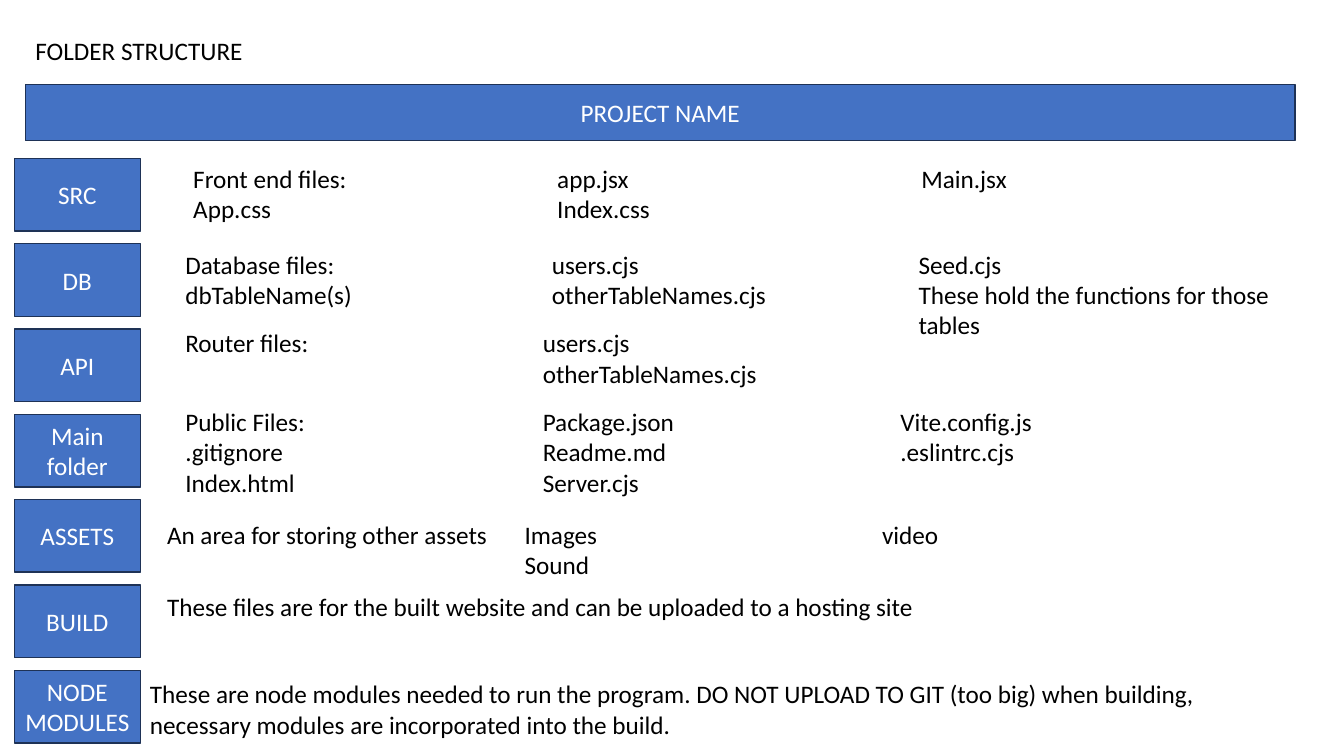
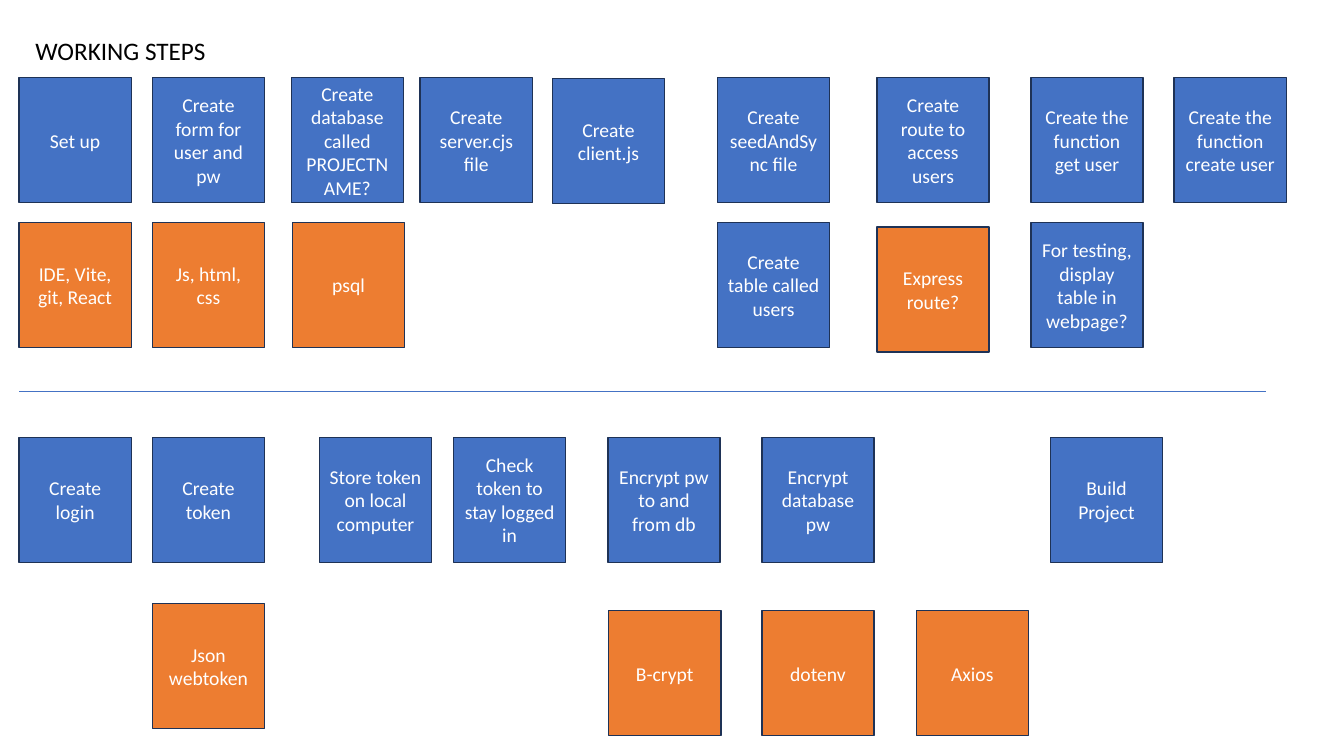
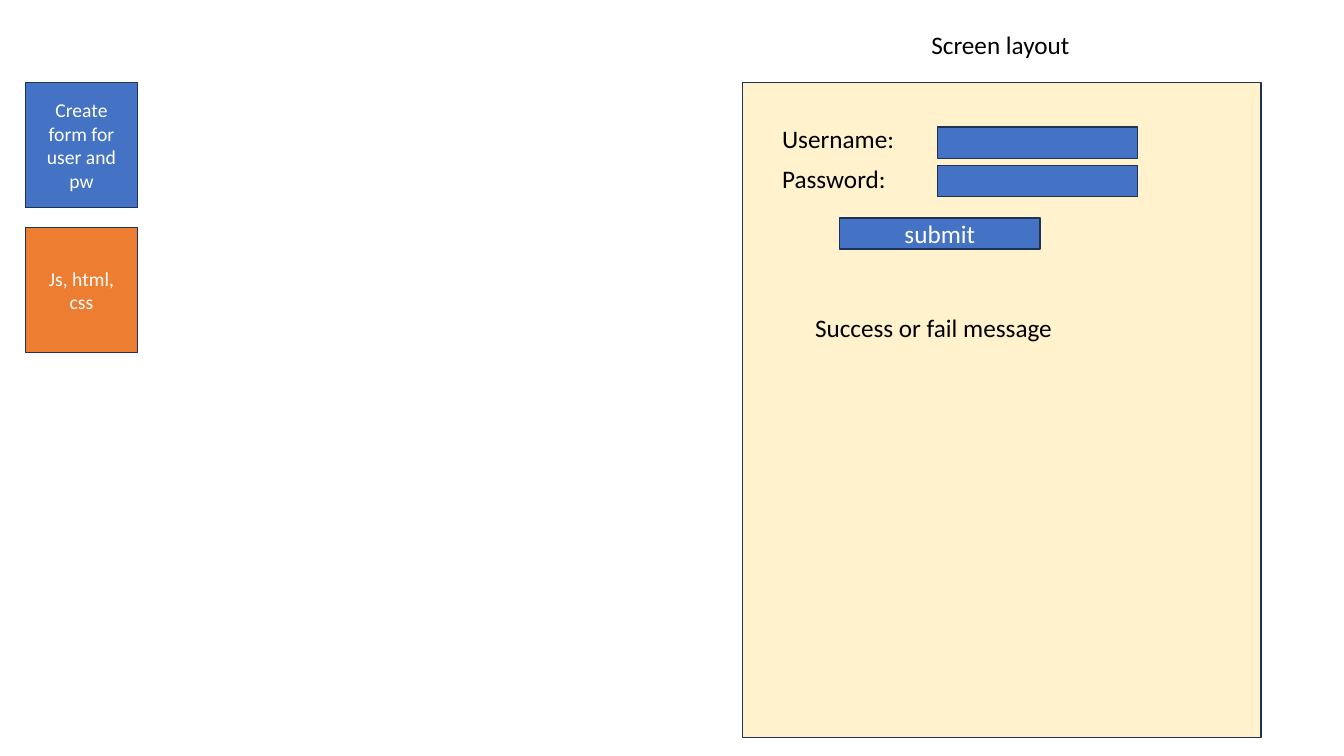
"""Build a three-slide plan of a web project: folders, working steps and a login screen."""
from dataclasses import dataclass

from lxml import etree
from pptx import Presentation
from pptx.dml.color import RGBColor
from pptx.enum.shapes import MSO_CONNECTOR, MSO_SHAPE
from pptx.enum.text import MSO_ANCHOR, MSO_AUTO_SIZE, PP_ALIGN
from pptx.oxml.ns import qn
from pptx.util import Cm, Pt

RECTANGLE = MSO_SHAPE.RECTANGLE
STRAIGHT = MSO_CONNECTOR.STRAIGHT
TOP, MIDDLE = MSO_ANCHOR.TOP, MSO_ANCHOR.MIDDLE
LEFT, CENTER = PP_ALIGN.LEFT, PP_ALIGN.CENTER
NO_FIT = MSO_AUTO_SIZE.NONE

COLORS = {
    "task": "4472C4",
    "tool": "ED7D31",
    "screen": "FFF2CC",
    "outline": "1E3256",
    "ink": "000000",
    "paper": "FFFFFF",
}
FONT = {"name": "Calibri", "bold": False}
PARAGRAPH = {"line_spacing": 1.0, "space_before": Pt(0), "space_after": Pt(0)}
FRAME = {
    "word_wrap": True,
    "auto_size": NO_FIT,
    "margin_left": Cm(0.25),
    "margin_right": Cm(0.25),
    "margin_top": Cm(0.13),
    "margin_bottom": Cm(0.13),
}
TITLE_ONLY, COMPARISON = 5, 4
CARD_WIDTH, CARD_HEIGHT = 2.83, 3.15
LINE_HEIGHT, INSETS = 1.02, 0.5


@dataclass(frozen=True)
class Box:
    """A place on the slide in centimetres."""

    left: float
    top: float
    width: float
    height: float

    def lengths(self) -> tuple:
        """Return the four lengths for python-pptx."""
        return Cm(self.left), Cm(self.top), Cm(self.width), Cm(self.height)


@dataclass(frozen=True)
class Folder:
    """A folder with its contents in up to three columns."""

    name: str
    left: float
    top: float
    width: float
    columns: tuple
    column_count: int = 3


@dataclass(frozen=True)
class Card:
    """A working step, or a tool that it needs."""

    left: float
    top: float
    text: str
    kind: str = "task"


FOLDERS = (
    Folder("SRC", 4.62, 3.99, 28.02,
           (("Front end files:", "App.css"), ("app.jsx", "Index.css"), ("Main.jsx",))),
    Folder("DB", 4.42, 6.15, 28.22,
           (("Database files:", "dbTableName(s)"), ("users.cjs", "otherTableNames.cjs"),
            ("Seed.cjs", "These hold the functions for those tables"))),
    Folder("API", 4.42, 8.13, 27.53,
           (("Router files:",), ("users.cjs", "otherTableNames.cjs"))),
    Folder("Main folder", 4.42, 10.11, 27.53,
           (("Public Files:", ".gitignore", "Index.html"),
            ("Package.json", "Readme.md", "Server.cjs"),
            ("Vite.config.js", ".eslintrc.cjs"))),
    Folder("ASSETS", 3.96, 12.95, 27.53,
           (("An area for storing other assets",), ("Images", "Sound"), ("video",))),
    Folder("BUILD", 3.96, 14.78, 27.53,
           (("These files are for the built website and can be uploaded to a hosting site",),), 1),
    Folder("NODE MODULES", 3.53, 16.97, 27.53,
           (("These are node modules needed to run the program. DO NOT UPLOAD TO GIT "
             "(too big) when building, necessary modules are incorporated into the build.",),), 1),
)
STEPS = (
    Card(0.48, 1.96, "Set up"),
    Card(3.84, 1.96, "Create form for user and pw"),
    Card(7.34, 1.96, "Create database called PROJECTNAME?"),
    Card(10.59, 1.96, "Create server.cjs file"),
    Card(13.92, 1.98, "Create client.js"),
    Card(18.08, 1.96, "Create seedAndSync file"),
    Card(22.1, 1.96, "Create route to access users"),
    Card(25.98, 1.96, "Create the function get user"),
    Card(29.59, 1.96, "Create the function create user"),
    Card(0.48, 5.61, "IDE, Vite, git, React", "tool"),
    Card(3.84, 5.61, "Js, html, css", "tool"),
    Card(7.37, 5.61, "psql", "tool"),
    Card(18.08, 5.61, "Create table called users"),
    Card(22.1, 5.72, "Express route?", "tool"),
    Card(25.98, 5.61, "For testing, display table in webpage?"),
    Card(0.48, 11.02, "Create login"),
    Card(3.84, 11.02, "Create token"),
    Card(8.05, 11.02, "Store token on local computer"),
    Card(11.43, 11.02, "Check token to stay logged in"),
    Card(15.32, 11.02, "Encrypt pw to and from db"),
    Card(19.2, 11.02, "Encrypt database pw"),
    Card(26.47, 11.02, "Build Project"),
    Card(3.84, 15.21, "Json webtoken", "tool"),
    Card(15.34, 15.39, "B-crypt", "tool"),
    Card(19.2, 15.39, "dotenv", "tool"),
    Card(23.09, 15.39, "Axios", "tool"),
)
FORM_STEPS = (
    Card(0.64, 2.08, "Create form for user and pw"),
    Card(0.64, 5.74, "Js, html, css", "tool"),
)


def rgb(color: str) -> RGBColor:
    """Look up a named colour."""
    return RGBColor.from_string(COLORS[color])


def apply(target, values: dict) -> None:
    """Set each format value on the target."""
    for name, value in values.items():
        setattr(target, name, value)


def write(frame, lines: tuple, size: int = 18, color: str = "ink",
          align=LEFT, anchor=TOP) -> None:
    """Write lines as plain paragraphs without bullets."""
    apply(frame, FRAME | {"vertical_anchor": anchor})
    for index, line in enumerate(lines):
        paragraph = frame.paragraphs[0] if index == 0 else frame.add_paragraph()
        apply(paragraph, PARAGRAPH | {"alignment": align})
        properties = paragraph._p.get_or_add_pPr()
        properties.set("marL", "0")
        properties.set("indent", "0")
        etree.SubElement(properties, qn("a:buNone"))
        run = paragraph.add_run()
        run.text = line
        apply(run.font, FONT | {"size": Pt(size)})
        run.font.color.rgb = rgb(color)


def place(holder, box: Box) -> None:
    """Move a placeholder to a box."""
    apply(holder, dict(zip(("left", "top", "width", "height"), box.lengths())))


def add_slide(deck, title: str, layout: int = TITLE_ONLY,
              left: float = 0.64, top: float = 0.76):
    """Add a slide with its title."""
    slide = deck.slides.add_slide(deck.slide_layouts[layout])
    place(slide.shapes.title, Box(left, top, 8, LINE_HEIGHT))
    write(slide.shapes.title.text_frame, (title,))
    return slide


def add_block(slide, box: Box, text: str = "", fill: str = "task", size: int = 18) -> None:
    """Draw an outlined rectangle with optional centred text."""
    block = slide.shapes.add_shape(RECTANGLE, *box.lengths())
    block.shadow.inherit = False
    block.fill.solid()
    block.fill.fore_color.rgb = rgb(fill)
    block.line.color.rgb = rgb("outline")
    block.line.width = Pt(1)
    if text:
        write(block.text_frame, (text,), size, "paper", CENTER, MIDDLE)


def add_text(slide, box: Box, lines: tuple) -> None:
    """Add a text box."""
    write(slide.shapes.add_textbox(*box.lengths()).text_frame, lines)


def add_cards(slide, cards: tuple) -> None:
    """Draw cards of one size."""
    for card in cards:
        add_block(slide, Box(card.left, card.top, CARD_WIDTH, CARD_HEIGHT),
                  card.text, card.kind, 14)


def add_rule(slide, left: float, right: float, top: float) -> None:
    """Draw a thin horizontal line."""
    rule = slide.shapes.add_connector(STRAIGHT, Cm(left), Cm(top), Cm(right), Cm(top))
    rule.line.color.rgb = rgb("task")
    rule.line.width = Pt(0.5)
    etree.SubElement(rule._element.spPr, qn("a:effectLst"))


def build_folders(deck) -> None:
    """Build the folder structure slide."""
    slide = add_slide(deck, "FOLDER STRUCTURE", COMPARISON)
    bodies = [holder for holder in slide.placeholders if holder.placeholder_format.idx]
    add_block(slide, Box(0.64, 2.13, 32, 1.42), "PROJECT NAME")
    for row, folder in enumerate(FOLDERS):
        add_block(slide, Box(0.36, 3.99 + row * 2.15, 3.18, 1.83), folder.name)
        pitch = (folder.width - INSETS) / folder.column_count
        for column, lines in enumerate(folder.columns):
            box = Box(folder.left + column * pitch, folder.top, pitch + INSETS, 1.8)
            if bodies:
                body = bodies.pop(0)
                place(body, box)
                write(body.text_frame, lines)
            else:
                add_text(slide, box, lines)


def build_steps(deck) -> None:
    """Build the working steps slide."""
    slide = add_slide(deck, "WORKING STEPS")
    add_cards(slide, STEPS)
    add_rule(slide, 0.48, 31.9, 9.86)


def build_screen(deck) -> None:
    """Build the login screen slide."""
    slide = add_slide(deck, "Screen layout", left=23.22, top=0.61)
    add_cards(slide, FORM_STEPS)
    add_block(slide, Box(18.72, 2.08, 13.06, 16.51), fill="screen")
    for label, label_top, field_top in (("Username:", 2.97, 3.2), ("Password:", 3.99, 4.17)):
        add_text(slide, Box(19.46, label_top, 3.45, LINE_HEIGHT), (label,))
        add_block(slide, Box(23.62, field_top, 5.05, 0.79))
    add_block(slide, Box(21.16, 5.49, 5.05, 0.79), "submit")
    add_text(slide, Box(20.29, 7.75, 9.7, LINE_HEIGHT), ("Success or fail message",))


def main() -> None:
    """Build and save the deck."""
    deck = Presentation()
    deck.slide_width, deck.slide_height = Cm(33.87), Cm(19.05)
    build_folders(deck)
    build_steps(deck)
    build_screen(deck)
    deck.save("out.pptx")


if __name__ == "__main__":
    main()
